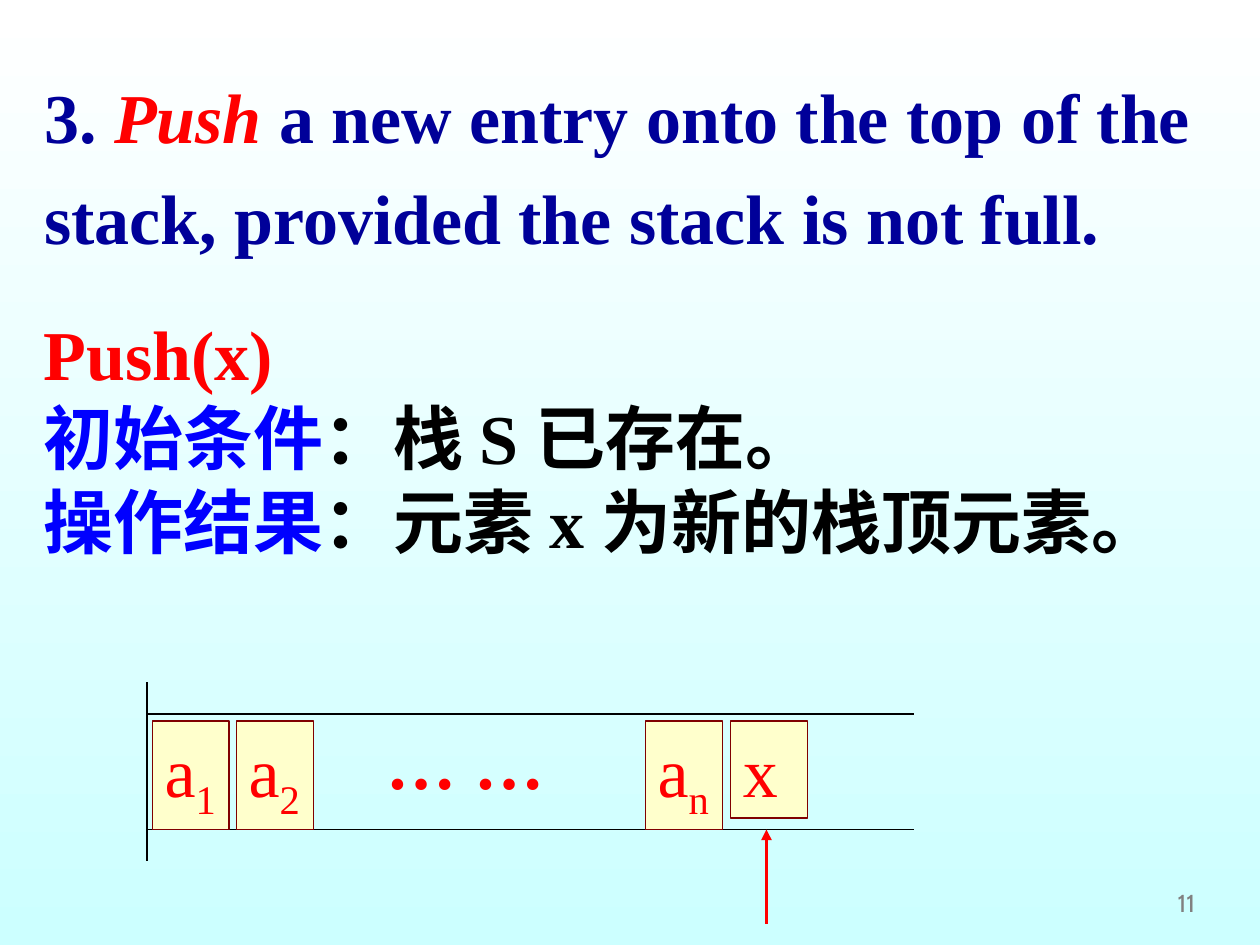
"""Build the slide on pushing a new entry onto a stack."""
from lxml import etree
from pptx import Presentation
from pptx.dml.color import RGBColor
from pptx.enum import shapes, text
from pptx.oxml import ns
from pptx.util import Pt

WHITE = RGBColor(0xFF, 0xFF, 0xFF)
PALE_CYAN = RGBColor(0xCC, 0xFF, 0xFF)
CREAM = RGBColor(0xFF, 0xFF, 0xCC)
MAROON = RGBColor(0x80, 0x00, 0x00)
NAVY = RGBColor(0x00, 0x00, 0x99)
BLUE = RGBColor(0x00, 0x00, 0xFF)
RED = RGBColor(0xFF, 0x00, 0x00)
BLACK = RGBColor(0x00, 0x00, 0x00)
GRAY = RGBColor(0x80, 0x80, 0x80)


def write(shape, lines, font="Times New Roman", size=40, bold=False, align="LEFT",
          anchor="TOP", wrap=True, spacing=1.0):
    """Fill a shape with lines, each a list of (words, colour, style) pieces."""
    frame = shape.text_frame
    frame.word_wrap = wrap
    frame.auto_size = text.MSO_AUTO_SIZE.NONE
    frame.vertical_anchor = text.MSO_ANCHOR[anchor]
    for index, pieces in enumerate(lines):
        paragraph = frame.add_paragraph() if index else frame.paragraphs[0]
        paragraph.alignment = text.PP_ALIGN[align]
        paragraph.line_spacing = spacing
        for words, color, style in pieces:
            run = paragraph.add_run()
            run.text = words
            run.font.name = font
            run.font.size = Pt(size)
            run.font.bold = bold
            run.font.italic = style == "italic"
            run.font.color.rgb = color
            if style == "subscript":
                run.font._element.set("baseline", "-25000")


def draw_line(x1, y1, x2, y2, color=BLACK, width=0.75):
    """Draw a straight line without a shadow."""
    line = slide.shapes.add_connector(
        shapes.MSO_CONNECTOR.STRAIGHT, Pt(x1), Pt(y1), Pt(x2), Pt(y2))
    line.line.color.rgb = color
    line.line.width = Pt(width)
    etree.SubElement(line._element.spPr, ns.qn("a:effectLst"))
    return line


deck = Presentation()
deck.slide_width, deck.slide_height = Pt(720), Pt(540)
slide = deck.slides.add_slide(deck.slide_layouts[5])

backdrop = slide.background.fill
backdrop.gradient()
backdrop.gradient_angle = 270
for stop, color in zip(backdrop.gradient_stops, (WHITE, PALE_CYAN)):
    stop.color.rgb = color

heading = slide.shapes.title
heading.left, heading.top, heading.width, heading.height = Pt(18), Pt(30), Pt(684), Pt(120)
write(heading, [[("3. ", NAVY, None), ("Push ", RED, "italic"),
                 ("a new entry onto the top of the stack, provided the stack is not full.",
                  NAVY, None)]],
      bold=True, anchor="MIDDLE", spacing=1.2)

stack_left, stack_right, stack_top, stack_bottom = 84, 522, 408, 474
draw_line(stack_left, 390, stack_left, 492)
for edge in (stack_top, stack_bottom):
    draw_line(stack_left, edge, stack_right, edge)

entries = [(87, 62, "a", "1"), (135, 62, "a", "2"), (368.75, 62, "a", "n"), (417.5, 55.5, "x", "")]
for left, height, letter, subscript in entries:
    entry = slide.shapes.add_shape(
        shapes.MSO_SHAPE.RECTANGLE, Pt(left), Pt(412), Pt(44), Pt(height))
    entry.shadow.inherit = False
    entry.fill.solid()
    entry.fill.fore_color.rgb = CREAM
    entry.line.color.rgb = MAROON
    entry.line.width = Pt(0.75)
    pieces = [(letter, RED, None)]
    if subscript:
        pieces.append((subscript, RED, "subscript"))
    write(entry, [pieces], wrap=False)

top_pointer = draw_line(438, 528, 438, stack_bottom, color=RED, width=2)
etree.SubElement(top_pointer.line._get_or_add_ln(), ns.qn("a:tailEnd"), type="triangle")

ellipsis = slide.shapes.add_textbox(Pt(214), Pt(407.5), Pt(104), Pt(55.5))
write(ellipsis, [[("… …", RED, None)]], bold=True, wrap=False)

operation = slide.shapes.add_textbox(Pt(18), Pt(174), Pt(690), Pt(151))
write(operation, [
    [("Push(x)", RED, None)],
    [("初始条件", BLUE, None), ("：栈 S 已存在。", BLACK, None)],
    [("操作结果", BLUE, None), ("：元素 x 为新的栈顶元素。", BLACK, None)],
], bold=True)

page_number = slide.shapes.add_textbox(Pt(540), Pt(492), Pt(150), Pt(36))
write(page_number, [[("11", GRAY, None)]], font="Cabin", size=14, align="RIGHT", anchor="BOTTOM")

deck.save("out.pptx")
